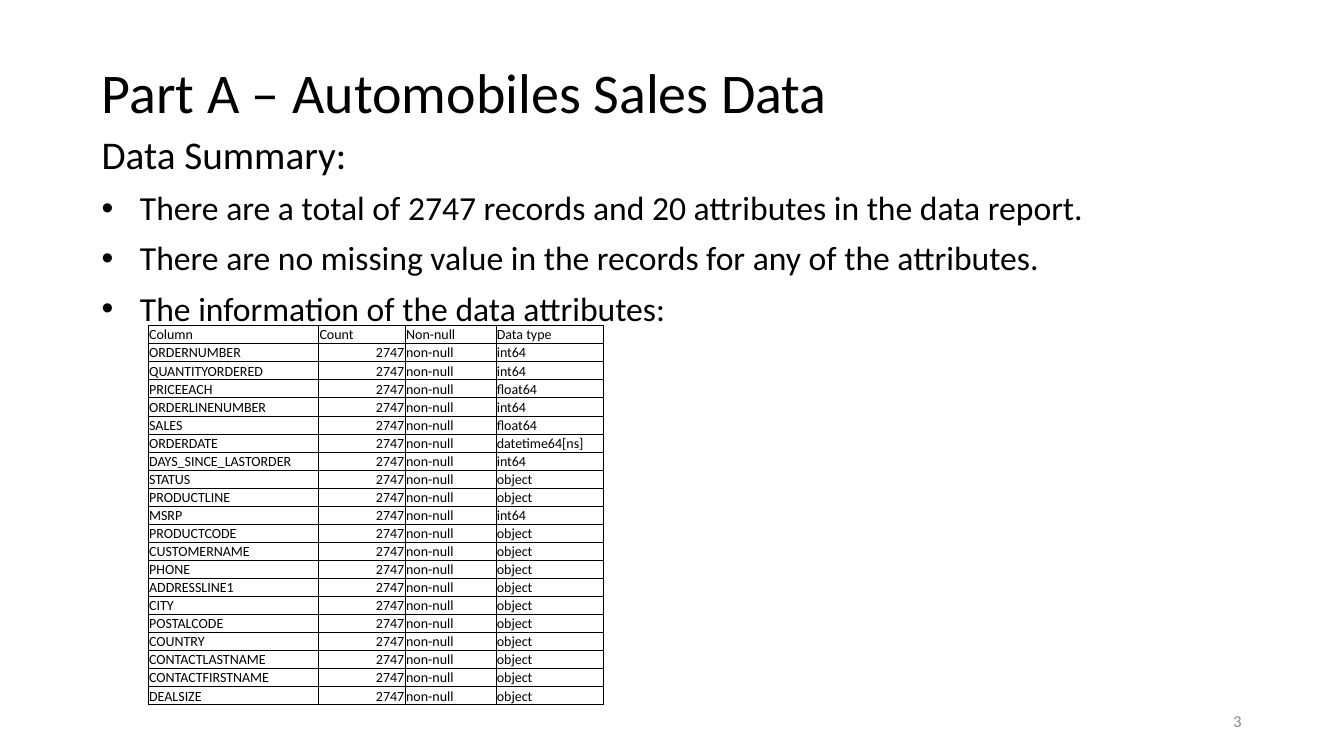
from lxml import etree
from pptx import Presentation
from pptx.dml.color import RGBColor
from pptx.enum.text import MSO_ANCHOR, PP_ALIGN
from pptx.oxml.ns import qn
from pptx.util import Inches, Pt

LEFT, RIGHT = PP_ALIGN.LEFT, PP_ALIGN.RIGHT
TOP, MIDDLE, BOTTOM = MSO_ANCHOR.TOP, MSO_ANCHOR.MIDDLE, MSO_ANCHOR.BOTTOM
FONT = "Calibri"
COLORS = {"text": "000000", "border": "000000", "number": "8C8C8C"}

presentation = Presentation()
presentation.slide_width = Inches(13.33)
presentation.slide_height = Inches(7.5)
slide = presentation.slides.add_slide(presentation.slide_layouts[6])

# Grid of 160 columns by 90 rows
COLUMN = presentation.slide_width / 160
ROW = presentation.slide_height / 90
MARGIN, CONTENT_WIDTH = 10.92, 138


def write(frame, text, size, color="text", align=LEFT, spacing=1.0, before=0, bullet=False):
    """Fill the frame's empty first paragraph, or add one after its text."""
    paragraph = frame.add_paragraph() if frame.text else frame.paragraphs[0]
    paragraph.alignment = align
    paragraph.line_spacing = spacing
    paragraph.space_before = Pt(before)
    run = paragraph.add_run()
    run.text = text
    run.font.name = FONT
    run.font.size = Pt(size)
    run.font.color.rgb = RGBColor.from_string(COLORS[color])
    if bullet:
        properties = paragraph._p.get_or_add_pPr()
        properties.set("marL", str(Inches(0.38)))
        properties.set("indent", str(-Inches(0.38)))
        etree.SubElement(properties, qn("a:buFont"), typeface="Arial")
        etree.SubElement(properties, qn("a:buChar"), char="•")


def add_frame(left, top, width, height, anchor):
    """Add a wrapping text box, placed in grid units."""
    box = slide.shapes.add_textbox(
        int(left * COLUMN), int(top * ROW), int(width * COLUMN), int(height * ROW))
    box.text_frame.word_wrap = True
    box.text_frame.vertical_anchor = anchor
    return box.text_frame


# Title
title = add_frame(MARGIN, 3.5, CONTENT_WIDTH, 12, BOTTOM)
write(title, "Part A – Automobiles Sales Data", 40, spacing=0.9)

# Summary
summary = add_frame(MARGIN, 15.5, CONTENT_WIDTH, 70, TOP)
write(summary, "Data Summary:", 28, spacing=0.9, before=10)
for point in (
    "There are a total of 2747 records and 20 attributes in the data report.",
    "There are no missing value in the records for any of the attributes.",
    "The information of the data attributes:",
):
    write(summary, point, 24, spacing=0.9, before=10, bullet=True)

# Slide number
slide_number = add_frame(113, 83.4, 36, 4.8, MIDDLE)
write(slide_number, "3", 12, color="number", align=RIGHT)

# Attribute table
ATTRIBUTES = [
    ("ORDERNUMBER", "int64"),
    ("QUANTITYORDERED", "int64"),
    ("PRICEEACH", "float64"),
    ("ORDERLINENUMBER", "int64"),
    ("SALES", "float64"),
    ("ORDERDATE", "datetime64[ns]"),
    ("DAYS_SINCE_LASTORDER", "int64"),
    ("STATUS", "object"),
    ("PRODUCTLINE", "object"),
    ("MSRP", "int64"),
    ("PRODUCTCODE", "object"),
    ("CUSTOMERNAME", "object"),
    ("PHONE", "object"),
    ("ADDRESSLINE1", "object"),
    ("CITY", "object"),
    ("POSTALCODE", "object"),
    ("COUNTRY", "object"),
    ("CONTACTLASTNAME", "object"),
    ("CONTACTFIRSTNAME", "object"),
    ("DEALSIZE", "object"),
]
records = [("Column", "Count", "Non-null", "Data type")]
records += [(name, "2747", "non-null", kind) for name, kind in ATTRIBUTES]
column_widths = [20.28, 10.32, 10.8, 12.84]
row_height = 2.15

table = slide.shapes.add_table(
    len(records), len(column_widths),
    int(17.64 * COLUMN), int(38.76 * ROW),
    int(sum(column_widths) * COLUMN), int(len(records) * row_height * ROW)).table
table.first_row = False
table.horz_banding = False
for column, width in zip(table.columns, column_widths):
    column.width = int(width * COLUMN)

for row_index, record in enumerate(records):
    table.rows[row_index].height = int(row_height * ROW)
    for column_index, value in enumerate(record):
        cell = table.cell(row_index, column_index)
        cell.vertical_anchor = BOTTOM
        cell.margin_left = cell.margin_right = cell.margin_top = Inches(0.01)
        cell.margin_bottom = 0
        write(cell.text_frame, value, 10, align=RIGHT if value == "2747" else LEFT)
        # Borders come before the fill in the cell's properties
        properties = cell._tc.get_or_add_tcPr()
        for side in ("a:lnL", "a:lnR", "a:lnT", "a:lnB"):
            line = etree.SubElement(properties, qn(side), w=str(Pt(0.5)))
            fill = etree.SubElement(line, qn("a:solidFill"))
            etree.SubElement(fill, qn("a:srgbClr"), val=COLORS["border"])
        cell.fill.background()

presentation.save("out.pptx")
